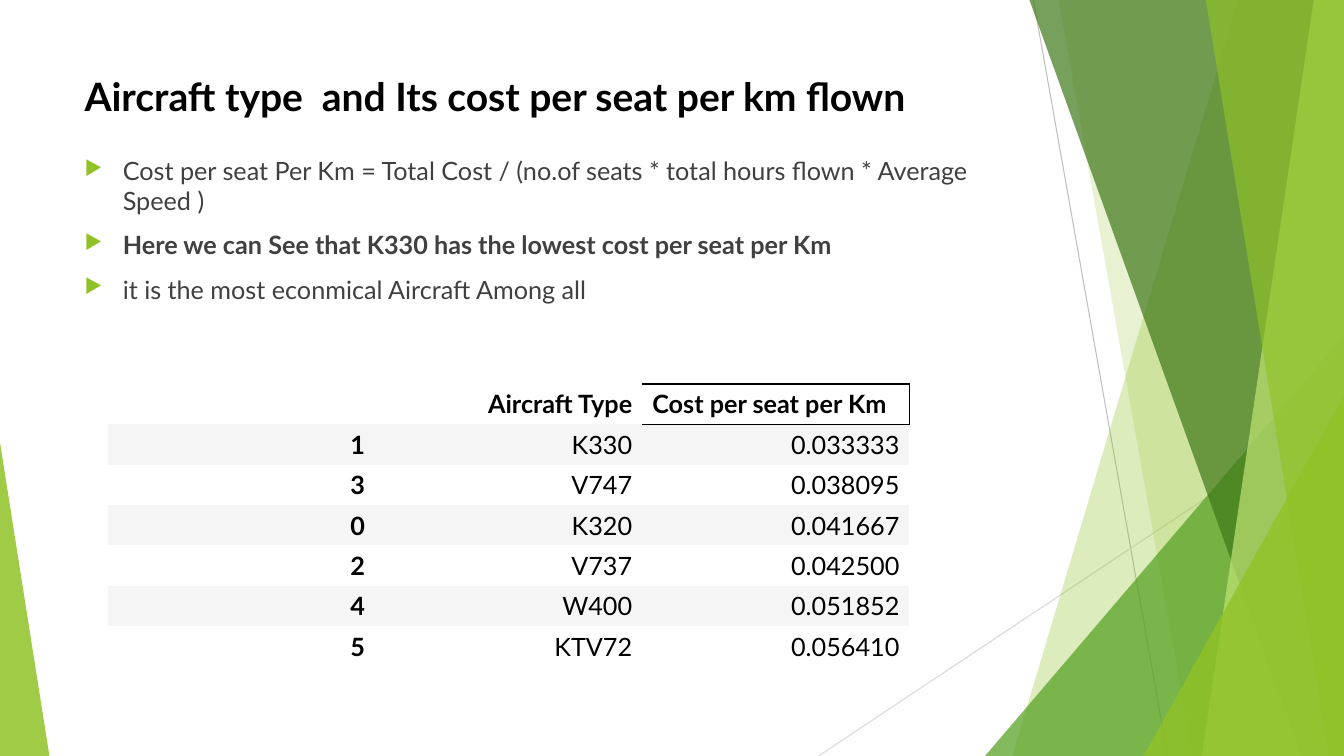
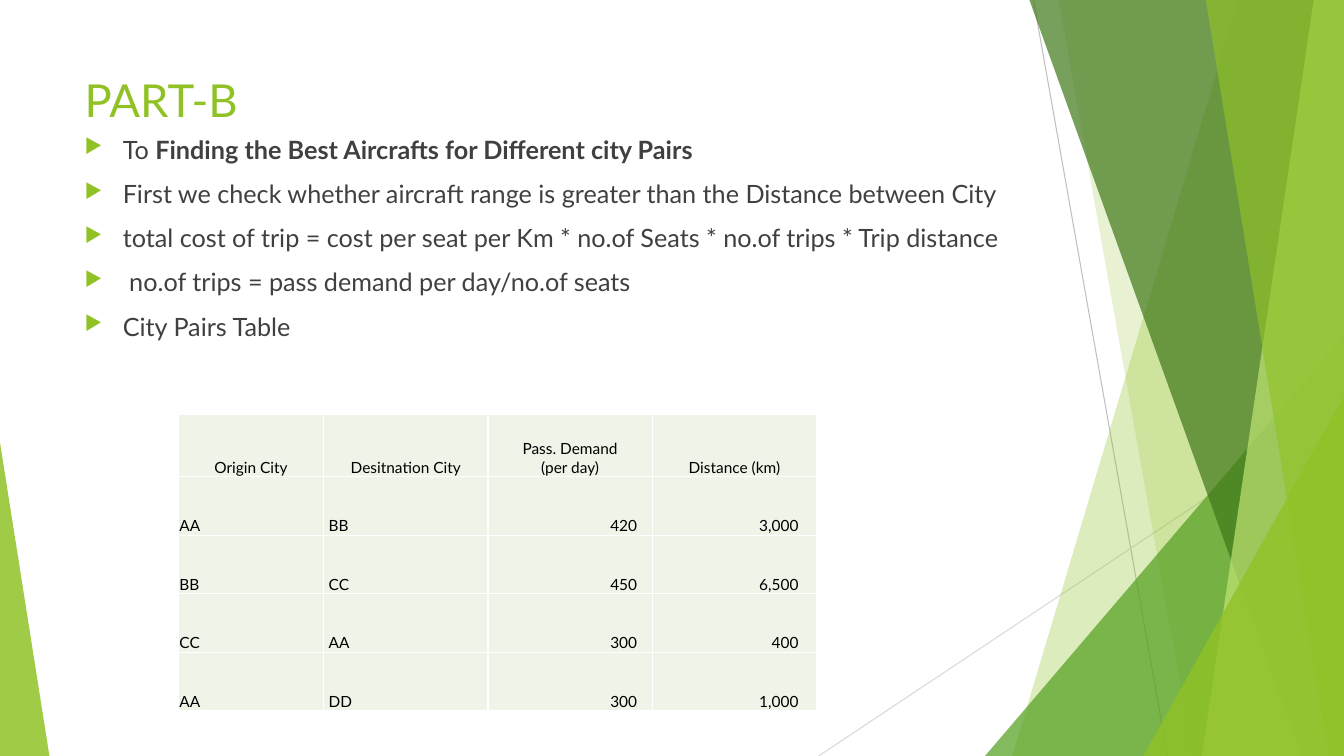
from dataclasses import dataclass

from lxml.etree import SubElement
from pptx import Presentation
from pptx.dml.color import RGBColor
from pptx.enum.shapes import MSO_CONNECTOR as Connector, MSO_SHAPE as Preset
from pptx.enum.text import MSO_ANCHOR as Anchor, PP_ALIGN as Align
from pptx.oxml.ns import qn
from pptx.util import Inches, Pt


@dataclass(frozen=True)
class Theme:
    font: str = "Lato"
    lime: str = "90C226"
    green: str = "54A021"
    forest: str = "3F7819"
    pale: str = "C0E474"
    ink: str = "000000"
    body: str = "404040"
    white: str = "FFFFFF"
    stripe: str = "F5F5F5"
    mint: str = "EEF4E8"
    steep_line: str = "BFBFBF"
    flat_line: str = "D9D9D9"
    heading_size: float = 27.9
    part_size: float = 32.4
    body_size: float = 18
    small_size: float = 11


THEME = Theme()
WIDTH, HEIGHT = 13.33, 7.5
MARGIN, TEXT_WIDTH = 0.74, 9.4
EDGES = ("L", "R", "T", "B")

GUIDES = [
    ((10.25, 0), (11.58, HEIGHT), THEME.steep_line),
    ((WIDTH, 4.03), (8.12, HEIGHT), THEME.flat_line),
]
BACK_BANDS = [(12.28, 10.04, THEME.lime, 30), (10.5, 11.83, THEME.lime, 20)]
FRONT_BANDS = [
    (10.21, 12.91, THEME.forest, 70),
    (13.03, 11.92, THEME.pale, 70),
    (11.96, 13.18, THEME.lime, 65),
]


def write(paragraph, text, *, size, color, bold=False, align=None):
    if align is not None:
        paragraph.alignment = align
    for index, line in enumerate(text.split("\n")):
        if index:
            paragraph.add_line_break()
        run = paragraph.add_run()
        run.text = line
        run.font.name = THEME.font
        run.font.size = Pt(size)
        run.font.bold = bold
        run.font.color.rgb = RGBColor.from_string(color)


class Deck:
    def __init__(self, theme):
        self.theme = theme
        self.presentation = Presentation()
        self.presentation.slide_width = Inches(WIDTH)
        self.presentation.slide_height = Inches(HEIGHT)
        self.slide = None

    def new_slide(self):
        layout = self.presentation.slide_layouts[6]
        self.slide = self.presentation.slides.add_slide(layout)
        for start, end, color in GUIDES:
            self.line(start, end, color)
        for band in BACK_BANDS:
            self.band(*band)
        self.triangle(9.77, 3.33, 3.56, self.theme.green, 72, apex=1)
        for band in FRONT_BANDS:
            self.band(*band)
        self.triangle(11.34, 3.93, 1.99, self.theme.lime, 80, apex=1)
        self.triangle(0, 4.39, 0.49, self.theme.lime, 85, apex=0)

    def line(self, start, end, color):
        points = [Inches(value) for value in (*start, *end)]
        line = self.slide.shapes.add_connector(Connector.STRAIGHT, *points)
        line.line.color.rgb = RGBColor.from_string(color)
        line.line.width = Pt(0.75)
        SubElement(line.element.spPr, qn("a:effectLst"))

    def paint(self, shape, color, opacity):
        shape.shadow.inherit = False
        shape.line.fill.background()
        shape.fill.solid()
        shape.fill.fore_color.rgb = RGBColor.from_string(color)
        tint = shape.element.spPr.find(qn("a:solidFill"))[0]
        SubElement(tint, qn("a:alpha"), val=str(opacity * 1000))

    def band(self, top_x, bottom_x, color, opacity):
        corners = [(WIDTH, 0), (WIDTH, HEIGHT), (bottom_x, HEIGHT)]
        outline = self.slide.shapes.build_freeform(Inches(top_x), 0)
        outline.add_line_segments([(Inches(x), Inches(y)) for x, y in corners])
        self.paint(outline.convert_to_shape(), color, opacity)

    def triangle(self, left, top, width, color, opacity, apex):
        triangle = self.slide.shapes.add_shape(
            Preset.ISOSCELES_TRIANGLE,
            Inches(left), Inches(top), Inches(width), Inches(HEIGHT - top),
        )
        triangle.adjustments[0] = apex
        self.paint(triangle, color, opacity)

    def text_frame(self, top, height):
        box = self.slide.shapes.add_textbox(
            Inches(MARGIN), Inches(top), Inches(TEXT_WIDTH), Inches(height)
        )
        box.text_frame.word_wrap = True
        return box.text_frame

    def title(self, text, **style):
        write(self.text_frame(0.67, 0.62).paragraphs[0], text, **style)

    def bullets(self, items, top):
        frame = self.text_frame(top, 6.6 - top)
        for index, parts in enumerate(items):
            item = frame.add_paragraph() if index else frame.paragraphs[0]
            item.space_before = Pt(10)
            properties = item._p.get_or_add_pPr()
            properties.set("marL", str(Inches(0.38)))
            properties.set("indent", str(-Inches(0.38)))
            bullet_color = SubElement(properties, qn("a:buClr"))
            SubElement(bullet_color, qn("a:srgbClr"), val=self.theme.lime)
            SubElement(properties, qn("a:buSzPct"), val="80000")
            SubElement(properties, qn("a:buChar"), char="▶")
            for text, bold in parts:
                write(item, text, size=self.theme.body_size,
                      color=self.theme.body, bold=bold)

    def table(self, left, top, widths, heights):
        table = self.slide.shapes.add_table(
            len(heights), len(widths), Inches(left), Inches(top),
            Inches(sum(widths)), Inches(sum(heights)),
        ).table
        table.first_row = table.horz_banding = False
        for column, width in zip(table.columns, widths):
            column.width = Inches(width)
        for row, height in zip(table.rows, heights):
            row.height = Inches(height)
        return table

    def cell(self, cell, text, *, fill, borders, anchor, margins=None, **style):
        properties = cell._tc.get_or_add_tcPr()
        for edge in EDGES:
            border = SubElement(properties, qn(f"a:ln{edge}"), w=str(Pt(1)))
            if edge in borders:
                solid = SubElement(border, qn("a:solidFill"))
                SubElement(solid, qn("a:srgbClr"), val=borders[edge])
            else:
                SubElement(border, qn("a:noFill"))
        if fill:
            cell.fill.solid()
            cell.fill.fore_color.rgb = RGBColor.from_string(fill)
        else:
            cell.fill.background()
        cell.vertical_anchor = anchor
        if margins:
            (cell.margin_left, cell.margin_top,
             cell.margin_right, cell.margin_bottom) = map(Inches, margins)
        if text:
            write(cell.text_frame.paragraphs[0], text,
                  color=self.theme.ink, **style)


def add_cost_slide(deck):
    deck.new_slide()
    deck.title("Aircraft type  and Its cost per seat per km flown",
               size=THEME.heading_size, color=THEME.ink, bold=True)
    deck.bullets([
        [("Cost per seat Per Km = Total Cost / (no.of seats * "
          "total hours flown * Average Speed )", False)],
        [("Here we can See that K330 has the lowest cost per seat per Km", True)],
        [("it is the most econmical Aircraft Among all", False)],
    ], top=1.49)
    costs = [
        ("", "Aircraft Type", "Cost per seat per Km"),
        ("1", "K330", "0.033333"),
        ("3", "V747", "0.038095"),
        ("0", "K320", "0.041667"),
        ("2", "V737", "0.042500"),
        ("4", "W400", "0.051852"),
        ("5", "KTV72", "0.056410"),
    ]
    boxed_edges = {(0, 2): "RTB", (1, 2): "T"}
    table = deck.table(1.07, 3.81, [2.65] * 3, [0.4] * len(costs))
    for r, row in enumerate(costs):
        for c, text in enumerate(row):
            boxed_heading = (r, c) == (0, 2)
            deck.cell(
                table.cell(r, c), text,
                fill=THEME.stripe if r % 2 else None,
                borders=dict.fromkeys(boxed_edges.get((r, c), ""), THEME.ink),
                anchor=Anchor.MIDDLE,
                size=THEME.body_size,
                bold=r == 0 or c == 0,
                align=Align.LEFT if boxed_heading else Align.RIGHT,
            )


def add_city_slide(deck):
    deck.new_slide()
    deck.title("PART-B", size=THEME.part_size, color=THEME.lime)
    deck.bullets([
        [("To ", False),
         ("Finding the Best Aircrafts for Different city Pairs", True)],
        [("First we check whether aircraft range is greater than "
          "the Distance between City", False)],
        [("total cost of trip = cost per seat per Km * no.of Seats * "
          "no.of trips * Trip distance", False)],
        [(" no.of trips = pass demand per day/no.of seats", False)],
        [("City Pairs Table", False)],
    ], top=1.28)
    city_pairs = [
        ("Origin City", "Desitnation City", "Pass. Demand\n(per day)",
         "Distance (km)"),
        ("AA", "BB", "420", "3,000"),
        ("BB", "CC", "450", "6,500"),
        ("CC", "AA", "300", "400"),
        ("AA", "DD", "300", "1,000"),
    ]
    side_gaps = [(0.01, 0.01), (0.05, 0.01), (0.01, 0.15), (0.01, 0.18)]
    table = deck.table(1.77, 4.11, [1.44] + [1.63] * 3, [0.62] + [0.58] * 4)
    for r, row in enumerate(city_pairs):
        for c, text in enumerate(row):
            left, right = side_gaps[c] if r else (0.01, 0.01)
            value_align = Align.LEFT if c < 2 else Align.RIGHT
            deck.cell(
                table.cell(r, c), text,
                fill=THEME.mint,
                borders=dict.fromkeys(EDGES, THEME.white),
                anchor=Anchor.BOTTOM,
                margins=(left, 0.01, right, 0),
                size=THEME.small_size,
                align=value_align if r else Align.CENTER,
            )


deck = Deck(THEME)
add_cost_slide(deck)
add_city_slide(deck)
deck.presentation.save("out.pptx")
